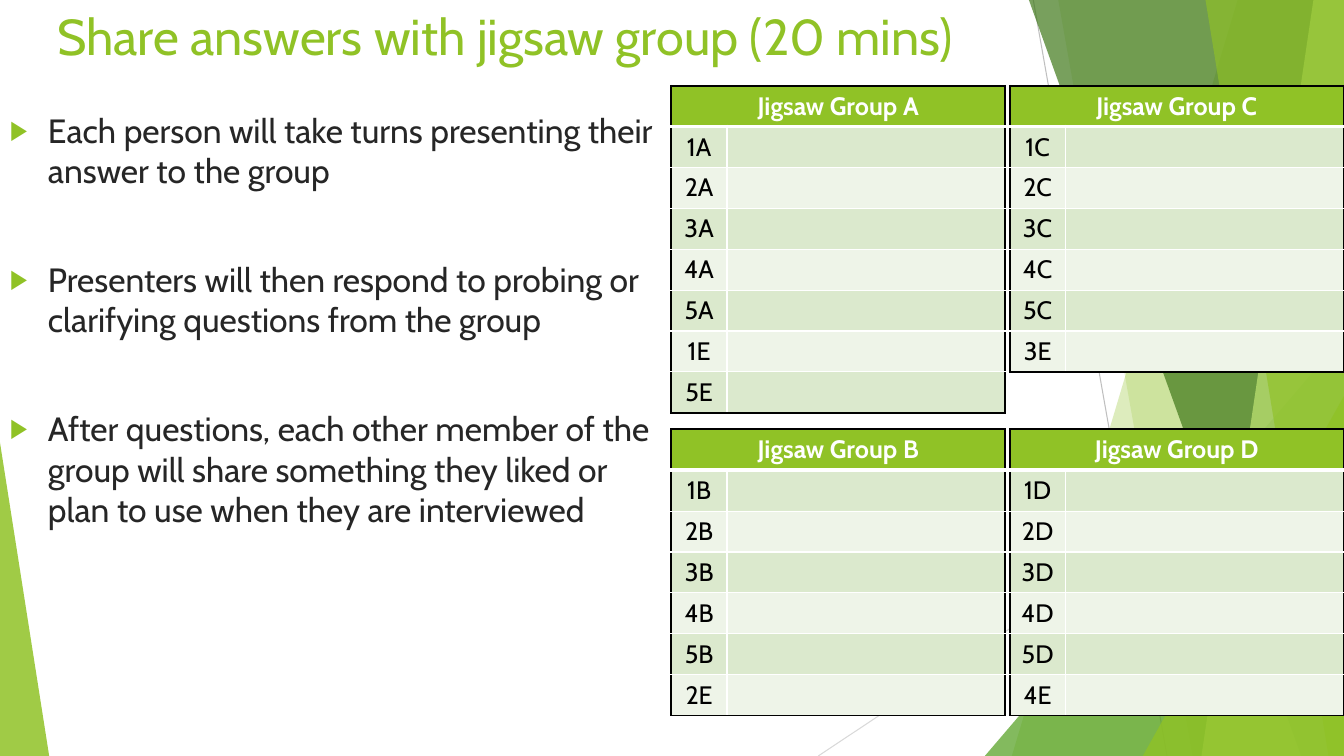
from dataclasses import dataclass

from lxml import etree
from pptx import Presentation
from pptx.dml.color import RGBColor
from pptx.enum.shapes import MSO_CONNECTOR, MSO_SHAPE
from pptx.enum.text import MSO_ANCHOR, PP_ALIGN
from pptx.oxml.ns import qn
from pptx.util import Cm, Pt

STRAIGHT = MSO_CONNECTOR.STRAIGHT
TRIANGLE = MSO_SHAPE.ISOSCELES_TRIANGLE
TOP, MIDDLE = MSO_ANCHOR.TOP, MSO_ANCHOR.MIDDLE
CENTER, LEFT = PP_ALIGN.CENTER, PP_ALIGN.LEFT

FONT = "Cabin"
GREEN, WHITE, BLACK = "90C226", "FFFFFF", "000000"
BODY_TEXT = "262626"
BANDS = ("EEF4E8", "DBE9CD")
WIDTH, HEIGHT = 33.87, 19.05
ROW_HEIGHT = 1.03
COLUMN_WIDTHS = (1.4, 7.01)


@dataclass(frozen=True)
class Ray:
    x1: float
    y1: float
    x2: float
    y2: float
    color: str


@dataclass(frozen=True)
class Facet:
    """Full-height panel that reaches the right edge of the slide."""
    top_x: float
    bottom_x: float
    color: str
    opacity: int


@dataclass(frozen=True)
class Corner:
    """Triangle standing on the bottom edge; apex is 0 (left) or 1 (right)."""
    left: float
    top: float
    width: float
    apex: int
    color: str
    opacity: int


@dataclass(frozen=True)
class JigsawGroup:
    letter: str
    left: float
    top: float
    visitors: tuple[str, ...]


RAYS = (
    Ray(26.04, 0, 29.41, HEIGHT, "BFBFBF"),
    Ray(WIDTH, 10.24, 20.62, HEIGHT, "D9D9D9"),
)
DECOR = (
    Facet(31.19, 25.5, GREEN, 30),
    Facet(26.67, 30.05, GREEN, 20),
    Corner(24.82, 8.46, 9.05, 1, "54A021", 72),
    Facet(25.93, 32.79, "3F7819", 70),
    Facet(33.1, 30.28, "C0E474", 70),
    Facet(30.38, 33.48, GREEN, 65),
    Corner(28.8, 9.98, 5.07, 1, GREEN, 80),
    Corner(0, 11.15, 1.24, 0, GREEN, 85),
)
GROUPS = (
    JigsawGroup("C", 25.45, 2.16, ("3E",)),
    JigsawGroup("D", 25.45, 10.82, ("4E",)),
    JigsawGroup("A", 16.92, 2.16, ("1E", "5E")),
    JigsawGroup("B", 16.92, 10.82, ("2E",)),
)
STEPS = (
    "Each person will take turns presenting their answer to the group",
    "Presenters will then respond to probing or clarifying questions from the group",
    "After questions, each other member of the group will share something they "
    "liked or plan to use when they are interviewed",
)


def rgb(color: str) -> RGBColor:
    return RGBColor.from_string(color)


def format_text(paragraph, size: int, color: str, align=CENTER, bold: bool = False) -> None:
    paragraph.alignment = align
    for run in paragraph.runs:
        run.font.name = FONT
        run.font.size = Pt(size)
        run.font.bold = bold
        run.font.color.rgb = rgb(color)


def draw_ray(shapes, ray: Ray) -> None:
    line = shapes.add_connector(STRAIGHT, Cm(ray.x1), Cm(ray.y1), Cm(ray.x2), Cm(ray.y2))
    line.line.color.rgb = rgb(ray.color)
    line.line.width = Pt(0.75)
    etree.SubElement(line.element.spPr, qn("a:effectLst"))


def draw_decor(shapes, part: Facet | Corner) -> None:
    if isinstance(part, Facet):
        outline = shapes.build_freeform(Cm(part.top_x), 0)
        outline.add_line_segments(
            [(Cm(WIDTH), 0), (Cm(WIDTH), Cm(HEIGHT)), (Cm(part.bottom_x), Cm(HEIGHT))])
        shape = outline.convert_to_shape()
    else:
        shape = shapes.add_shape(TRIANGLE, Cm(part.left), Cm(part.top),
                                 Cm(part.width), Cm(HEIGHT - part.top))
        shape.adjustments[0] = part.apex
    shape.shadow.inherit = False
    shape.line.fill.background()
    shape.fill.solid()
    shape.fill.fore_color.rgb = rgb(part.color)
    color = shape.element.spPr.find(qn("a:solidFill")).find(qn("a:srgbClr"))
    etree.SubElement(color, qn("a:alpha"), val=str(part.opacity * 1000))


def add_bullet(paragraph) -> None:
    props = paragraph._p.get_or_add_pPr()
    props.set("marL", str(Cm(0.96)))
    props.set("indent", str(Cm(-0.96)))
    color = etree.SubElement(props, qn("a:buClr"))
    etree.SubElement(color, qn("a:srgbClr"), val=GREEN)
    etree.SubElement(props, qn("a:buSzPct"), val="80000")
    etree.SubElement(props, qn("a:buFont"), typeface="Arial")
    etree.SubElement(props, qn("a:buChar"), char="▶")


def draw_steps(shapes) -> None:
    box = shapes.add_textbox(0, Cm(2.64), Cm(17.22), Cm(12.62))
    frame = box.text_frame
    frame.word_wrap = True
    frame.text = "\n".join(STEPS)
    for index, paragraph in enumerate(frame.paragraphs):
        format_text(paragraph, 24, BODY_TEXT, LEFT)
        paragraph.space_before = Pt(49 if index else 10)
        add_bullet(paragraph)


def set_borders(cell, row: int, column: int, last_row: int) -> None:
    outer, inner, rule = (BLACK, 1.5), (WHITE, 1), (WHITE, 3)
    header = row == 0
    borders = {
        "a:lnL": outer if header or column == 0 else inner,
        "a:lnR": outer if header or column == 1 else inner,
        "a:lnT": outer if header else rule if row == 1 else inner,
        "a:lnB": rule if header else outer if row == last_row else inner,
    }
    props = cell._tc.get_or_add_tcPr()
    for side, (color, width) in borders.items():
        line = etree.SubElement(props, qn(side), w=str(Pt(width)))
        fill = etree.SubElement(line, qn("a:solidFill"))
        etree.SubElement(fill, qn("a:srgbClr"), val=color)


def draw_group(shapes, group: JigsawGroup) -> None:
    members = [f"{number}{group.letter}" for number in range(1, 6)] + list(group.visitors)
    labels = [f"Jigsaw Group {group.letter}"] + members
    table = shapes.add_table(len(labels), 2, Cm(group.left), Cm(group.top),
                             Cm(sum(COLUMN_WIDTHS)), Cm(ROW_HEIGHT * len(labels))).table
    for column, width in zip(table.columns, COLUMN_WIDTHS):
        column.width = Cm(width)
    table.cell(0, 0).merge(table.cell(0, 1))
    for row, label in enumerate(labels):
        header = row == 0
        table.rows[row].height = Cm(ROW_HEIGHT)
        for column in range(2):
            cell = table.cell(row, column)
            set_borders(cell, row, column, len(labels) - 1)
            cell.fill.solid()
            cell.fill.fore_color.rgb = rgb(GREEN if header else BANDS[row % 2])
        name = table.cell(row, 0)
        name.text_frame.text = label
        name.vertical_anchor = MIDDLE if header else TOP
        format_text(name.text_frame.paragraphs[0], 18, WHITE if header else BLACK, bold=header)


def main() -> None:
    deck = Presentation()
    deck.slide_width, deck.slide_height = Cm(WIDTH), Cm(HEIGHT)
    slide = deck.slides.add_slide(deck.slide_layouts[5])
    shapes = slide.shapes

    # Faceted background
    for ray in RAYS:
        draw_ray(shapes, ray)
    for part in DECOR:
        draw_decor(shapes, part)

    # Title
    title = shapes.title
    title.left, title.top, title.width, title.height = 0, 0, Cm(25.45), Cm(2.64)
    title.text_frame.text = "Share answers with jigsaw group (20 mins)"
    title.text_frame.vertical_anchor = TOP
    format_text(title.text_frame.paragraphs[0], 36, GREEN)

    # Steps and group tables
    draw_steps(shapes)
    for group in GROUPS:
        draw_group(shapes, group)

    deck.save("out.pptx")


if __name__ == "__main__":
    main()
